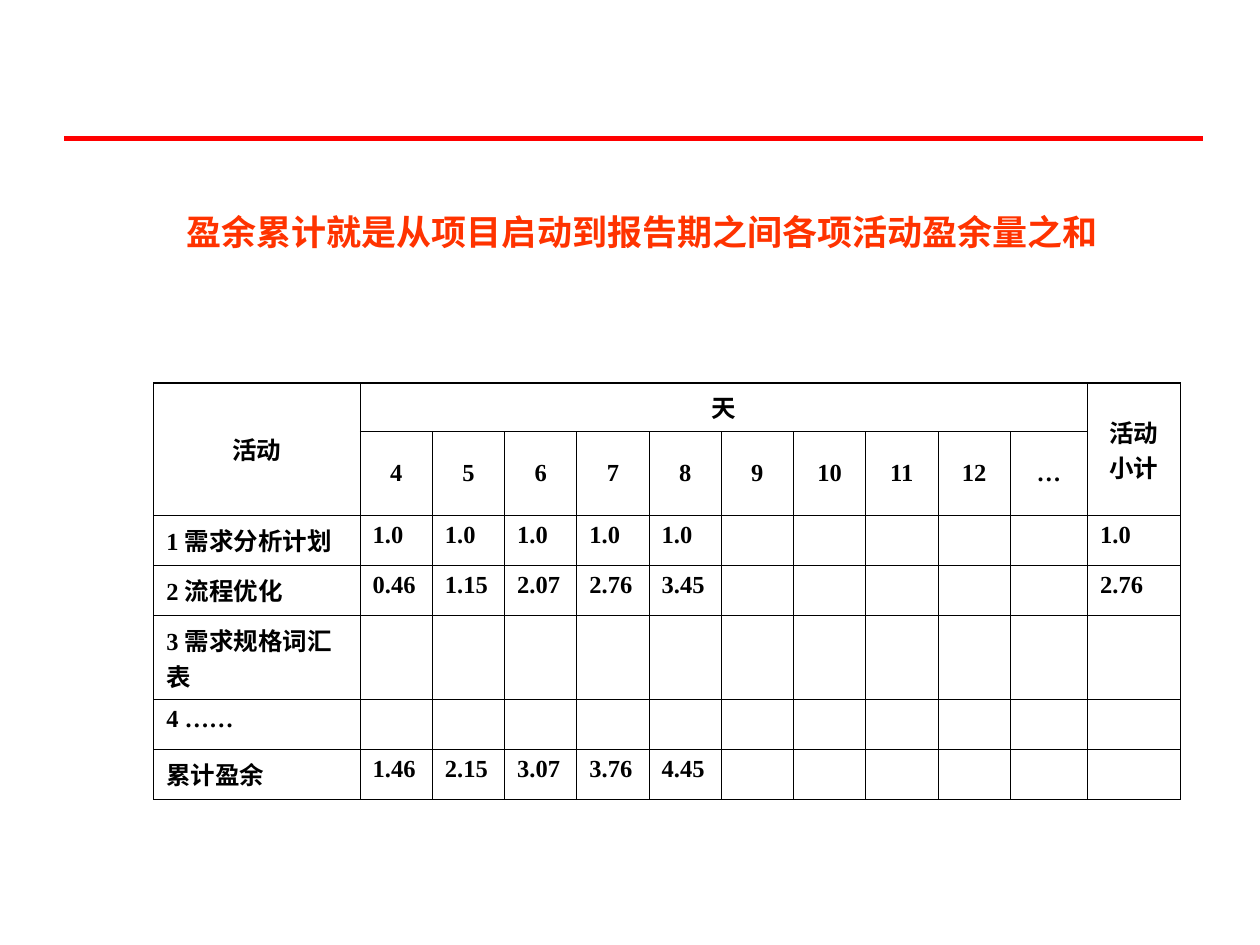
from dataclasses import dataclass

import lxml.etree
import pptx
import pptx.dml.color
import pptx.enum.shapes
import pptx.enum.text
import pptx.oxml.ns
import pptx.presentation
import pptx.slide
import pptx.table
import pptx.util

Inches = pptx.util.Inches
Pt = pptx.util.Pt
RGB = pptx.dml.color.RGBColor
Align = pptx.enum.text.PP_ALIGN
Anchor = pptx.enum.text.MSO_ANCHOR
qn = pptx.oxml.ns.qn


@dataclass(frozen=True)
class Theme:
    rule: str = "FF0000"
    title: str = "FF3300"
    ink: str = "000000"
    title_font: str = "Arial"
    table_font: str = "Times New Roman"
    title_size: float = 20
    table_size: float = 14
    rule_width: float = 3
    side_border: float = 0.34
    inner_border: float = 0.45
    edge_border: float = 0.96


@dataclass(frozen=True)
class Box:
    left: float
    top: float
    width: float
    height: float


@dataclass(frozen=True)
class Activity:
    name: str
    values: tuple[str, ...] = ()
    subtotal: str = ""


THEME = Theme()
TITLE = "盈余累计就是从项目启动到报告期之间各项活动盈余量之和"
TITLE_BOX = Box(1.38, 1.62, 7.56, 0.44)
TABLE_BOX = Box(1.22, 3.04, 8.15, 3.06)
COL_SHARES = [20] + [7] * 9 + [7.5, 9]
ROW_SHARES = [6, 10, 7, 7, 10, 7, 7]
DAYS = ["4", "5", "6", "7", "8", "9", "10", "11", "12", "…"]
HEADER_ROWS = 2
ACTIVITIES = [
    Activity("1 需求分析计划", ("1.0",) * 5, "1.0"),
    Activity("2 流程优化", ("0.46", "1.15", "2.07", "2.76", "3.45"), "2.76"),
    Activity("3 需求规格词汇表"),
    Activity("4 ……"),
    Activity("累计盈余", ("1.46", "2.15", "3.07", "3.76", "4.45")),
]


def style_runs(p, font: str, size: float, color: str) -> None:
    for r in p.runs:
        r.font.name = font
        r.font.size = Pt(size)
        r.font.bold = True
        r.font.color.rgb = RGB.from_string(color)


def draw_rule(s: pptx.slide.Slide) -> None:
    line = s.shapes.add_connector(
        pptx.enum.shapes.MSO_CONNECTOR.STRAIGHT,
        Inches(0.51), Inches(1.1), Inches(9.55), Inches(1.1))
    line.line.color.rgb = RGB.from_string(THEME.rule)
    line.line.width = Pt(THEME.rule_width)
    lxml.etree.SubElement(line._element.spPr, qn("a:effectLst"))


def draw_title(s: pptx.slide.Slide) -> None:
    sp, b = s.shapes.title, TITLE_BOX
    sp.left, sp.top = Inches(b.left), Inches(b.top)
    sp.width, sp.height = Inches(b.width), Inches(b.height)
    tf = sp.text_frame
    tf.text = TITLE
    tf.word_wrap = True
    tf.auto_size = pptx.enum.text.MSO_AUTO_SIZE.NONE
    tf.vertical_anchor = Anchor.MIDDLE
    p = tf.paragraphs[0]
    p.alignment = Align.JUSTIFY
    style_runs(p, THEME.title_font, THEME.title_size, THEME.title)


def set_border(cell: pptx.table._Cell, side: str, width: float) -> None:
    ln = lxml.etree.SubElement(
        cell._tc.get_or_add_tcPr(), qn(f"a:ln{side}"), w=str(Pt(width)))
    fill = lxml.etree.SubElement(ln, qn("a:solidFill"))
    lxml.etree.SubElement(fill, qn("a:srgbClr"), val=THEME.ink)


def format_cell(table: pptx.table.Table, row: int, col: int, text: str) -> None:
    cell = table.cell(row, col)
    cell.text_frame.text = text
    p = cell.text_frame.paragraphs[0]
    if row < HEADER_ROWS:
        p.alignment = Align.CENTER
        cell.vertical_anchor = Anchor.MIDDLE
    style_runs(p, THEME.table_font, THEME.table_size, THEME.ink)
    if not text:
        lxml.etree.SubElement(
            p._p, qn("a:endParaRPr"), sz=str(int(THEME.table_size * 100)))
    outer = {
        "L": (col == 0, THEME.side_border),
        "R": (col == len(COL_SHARES) - 1, THEME.side_border),
        "T": (row == 0, THEME.edge_border),
        "B": (row == len(ROW_SHARES) - 1, THEME.edge_border),
    }
    for side, (at_edge, width) in outer.items():
        set_border(cell, side, width if at_edge else THEME.inner_border)
    cell.fill.background()


def table_rows() -> list[list[str]]:
    blanks = [""] * (len(DAYS) - 1)
    rows = [["活动", "天", *blanks, "活动小计"], ["", *DAYS, ""]]
    for a in ACTIVITIES:
        padding = [""] * (len(DAYS) - len(a.values))
        rows.append([a.name, *a.values, *padding, a.subtotal])
    return rows


def draw_table(s: pptx.slide.Slide) -> None:
    b = TABLE_BOX
    table = s.shapes.add_table(
        len(ROW_SHARES), len(COL_SHARES), Inches(b.left), Inches(b.top),
        Inches(b.width), Inches(b.height)).table
    table.first_row = table.horz_banding = False
    for column, share in zip(table.columns, COL_SHARES):
        column.width = Inches(b.width * share / sum(COL_SHARES))
    for row, share in zip(table.rows, ROW_SHARES):
        row.height = Inches(b.height * share / sum(ROW_SHARES))
    for i, texts in enumerate(table_rows()):
        for j, text in enumerate(texts):
            format_cell(table, i, j, text)
    last = len(COL_SHARES) - 1
    for start, end in [((0, 0), (1, 0)), ((0, 1), (0, last - 1)),
                       ((0, last), (1, last))]:
        table.cell(*start).merge(table.cell(*end))


def main() -> None:
    prs = pptx.Presentation()
    prs.slide_width, prs.slide_height = Inches(10), Inches(7.5)
    s = prs.slides.add_slide(prs.slide_layouts[5])
    draw_rule(s)
    draw_title(s)
    draw_table(s)
    prs.save("out.pptx")


if __name__ == "__main__":
    main()
